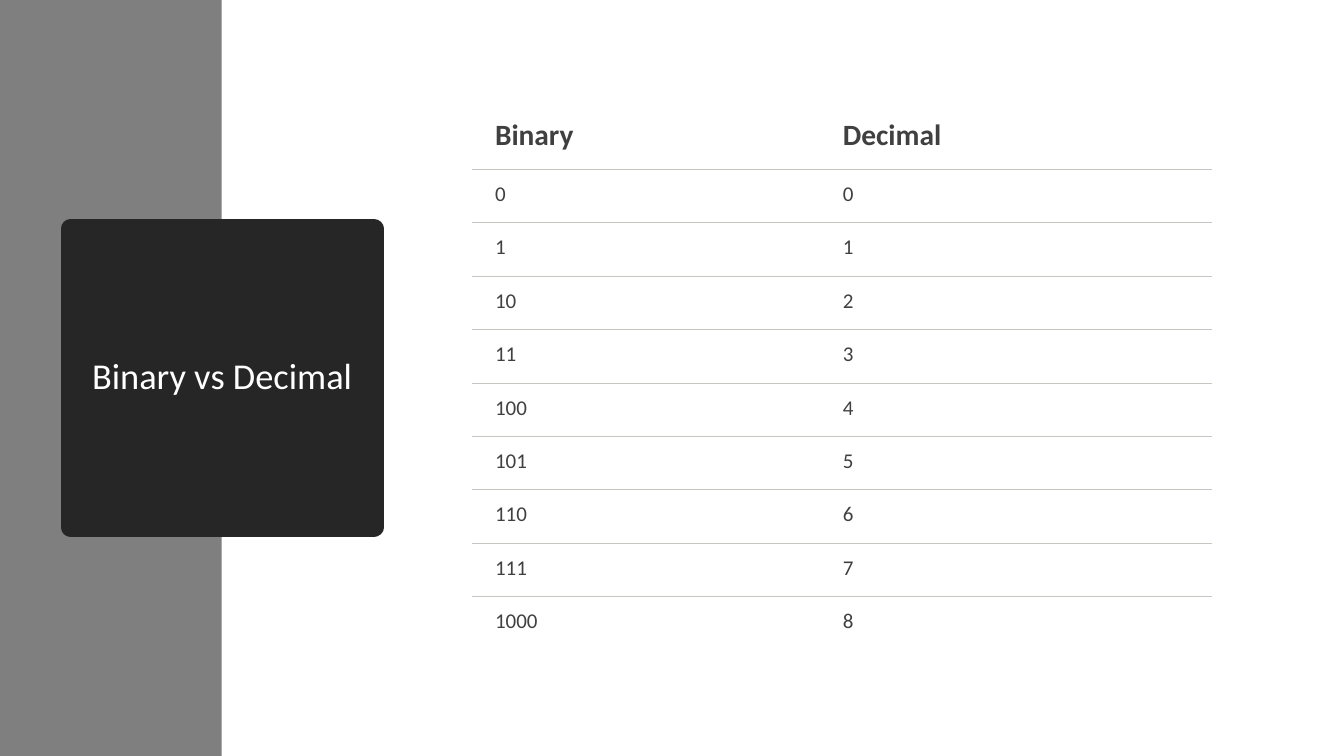
from lxml import etree
from pptx import Presentation, util as u
from pptx.dml.color import RGBColor
from pptx.enum import shapes, text
from pptx.oxml import ns

WIDE, HIGH = 13.33, 7.5
FONT = "Calibri"
HUES = {"band": "7F7F7F", "card": "262626", "white": "FFFFFF",
        "ink": "404040", "rule": "C7C6C1"}
PLAIN = "{2D5ABB26-0587-4C30-8999-92F81FD0307C}"
COLS = (3.45, 3.89)
HEAD, ROW = 0.63, 0.53
INSETS = {"margin_left": 0.23, "margin_top": 0.12,
          "margin_right": 0.17, "margin_bottom": 0.12}


def hue(name):
    return RGBColor.from_string(HUES[name])


def assign(item, values):
    for name, value in values.items():
        setattr(item, name, value)


def place(item, left, top, width, height):
    box = {"left": left, "top": top, "width": width, "height": height}
    assign(item, {name: u.Inches(size) for name, size in box.items()})


def paint(fill, name):
    fill.solid()
    fill.fore_color.rgb = hue(name)


def style(para, size, name, bold=False):
    assign(para.font, {"name": FONT, "size": u.Pt(size), "bold": bold})
    para.font.color.rgb = hue(name)


def add_band(slide):
    band = slide.shapes.add_shape(shapes.MSO_SHAPE.RECTANGLE, 0, 0,
                                  u.Inches(WIDE * 0.165), u.Inches(HIGH))
    band.shadow.inherit = False
    paint(band.fill, "band")
    band.line.fill.background()
    slide.shapes._spTree.insert(2, band._element)


def add_title(slide, words):
    title = slide.shapes.title
    place(title, 0.7, 2.27, 3.01, 2.96)
    paint(title.fill, "card")
    paint(title.line.fill, "card")
    title.line.width = u.Pt(13.75)
    etree.SubElement(title.line._ln, ns.qn("a:round"))
    frame = title.text_frame
    frame.text = words
    assign(frame, {"word_wrap": True,
                   "auto_size": text.MSO_AUTO_SIZE.NONE,
                   "vertical_anchor": text.MSO_ANCHOR.MIDDLE})
    para = frame.paragraphs[0]
    assign(para, {"alignment": text.PP_ALIGN.CENTER, "line_spacing": 0.9})
    style(para, 26, "white")


def add_rule(cell, side):
    line = etree.SubElement(cell._tc.get_or_add_tcPr(), ns.qn("a:" + side),
                            w=str(u.Pt(0.75)))
    fill = etree.SubElement(line, ns.qn("a:solidFill"))
    etree.SubElement(fill, ns.qn("a:srgbClr"), val=HUES["rule"])


def add_grid(slide, rows):
    frame = slide.shapes.add_table(
        len(rows), len(COLS), u.Inches(4.68), u.Inches(1.05),
        u.Inches(sum(COLS)), u.Inches(HEAD + ROW * (len(rows) - 1)))
    grid = frame.table
    assign(grid, {"first_row": False, "horz_banding": False})
    grid._tbl.tblPr.find(ns.qn("a:tableStyleId")).text = PLAIN
    for col, width in zip(grid.columns, COLS):
        col.width = u.Inches(width)
    for r, values in enumerate(rows):
        grid.rows[r].height = u.Inches(ROW if r else HEAD)
        for c, value in enumerate(values):
            cell = grid.cell(r, c)
            cell.text = value
            assign(cell, {k: u.Inches(v) for k, v in INSETS.items()})
            style(cell.text_frame.paragraphs[0], 15 if r else 21, "ink", r == 0)
            if r > 0:
                add_rule(cell, "lnT")
            if r < len(rows) - 1:
                add_rule(cell, "lnB")
            cell.fill.background()


def main():
    deck = Presentation()
    assign(deck, {"slide_width": u.Inches(WIDE), "slide_height": u.Inches(HIGH)})
    slide = deck.slides.add_slide(deck.slide_layouts[5])
    paint(slide.background.fill, "white")
    add_band(slide)
    add_title(slide, "Binary vs Decimal")
    add_grid(slide, [("Binary", "Decimal")]
             + [(f"{n:b}", str(n)) for n in range(9)])
    deck.save("out.pptx")


if __name__ == "__main__":
    main()
